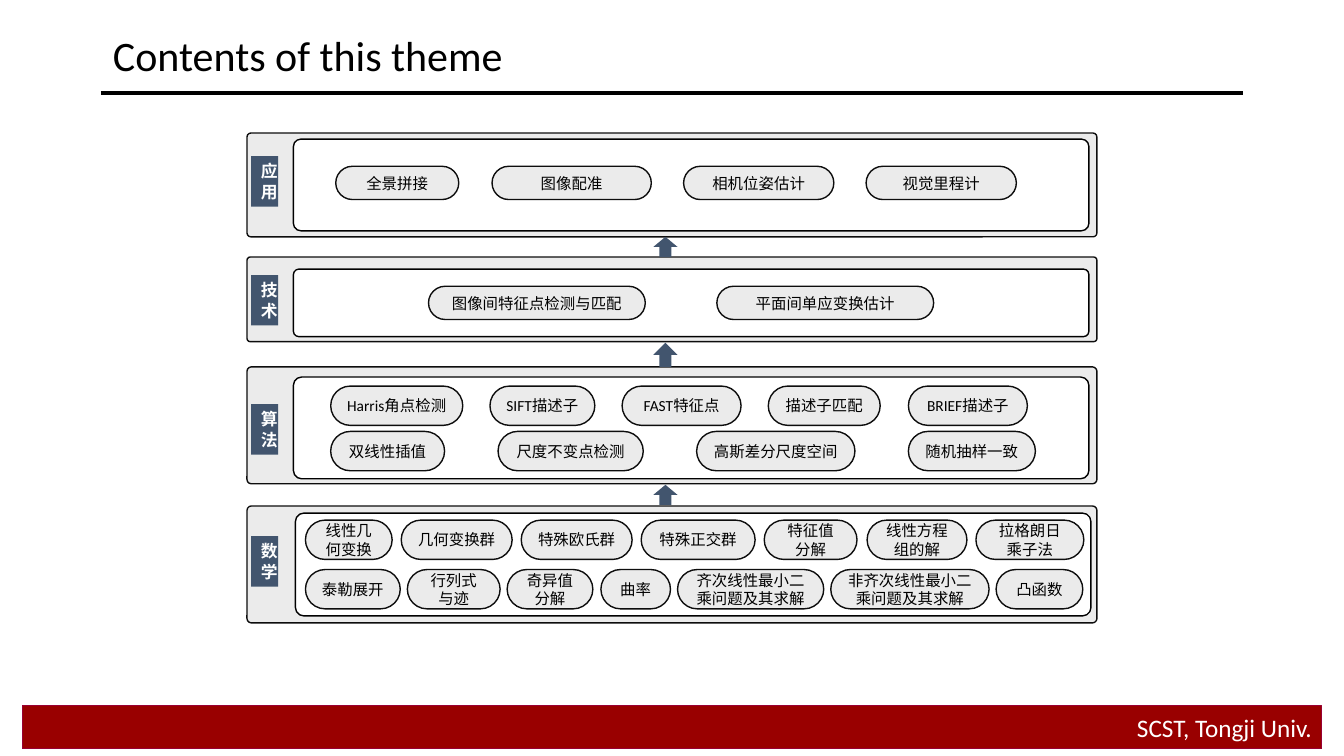
"""Build the slide that shows the four layers of topics in this theme."""
from dataclasses import dataclass

from lxml import etree
from pptx import Presentation
from pptx import util as u
from pptx.dml.color import RGBColor
from pptx.enum import shapes, text
from pptx.oxml.ns import qn

BLACK = RGBColor(0x00, 0x00, 0x00)
OUTLINE = RGBColor(0x0D, 0x0D, 0x0D)
WHITE = RGBColor(0xFF, 0xFF, 0xFF)
GREY = RGBColor(0xEB, 0xEB, 0xEB)
SLATE = RGBColor(0x42, 0x55, 0x6E)
RED = RGBColor(0x99, 0x00, 0x00)
CRIMSON = RGBColor(0x99, 0x00, 0x33)
LATIN_FONT = "Calibri"
CHINESE_FONT = "Noto Sans CJK SC"
ARROW_CENTER = 6.6
ARROW_WIDTH = 0.24


@dataclass
class Pill:
    label: str
    left: float
    width: float


@dataclass
class PillRow:
    top: float
    height: float
    pills: list[Pill]


@dataclass
class Layer:
    name: str
    top: float
    height: float
    name_top: float
    panel_left: float
    panel_top: float
    panel_height: float
    rows: list[PillRow]


@dataclass
class Arrow:
    top: float
    height: float


LAYERS = [
    Layer("应用", 1.32, 1.03, 1.55, 2.91, 1.38, 0.91, [
        PillRow(1.65, 0.33, [
            Pill("全景拼接", 3.33, 1.22), Pill("图像配准", 4.88, 1.58),
            Pill("相机位姿估计", 6.78, 1.49), Pill("视觉里程计", 8.59, 1.49)]),
    ]),
    Layer("技术", 2.55, 0.84, 2.73, 2.91, 2.67, 0.67, [
        PillRow(2.84, 0.33, [
            Pill("图像间特征点检测与匹配", 4.25, 2.15),
            Pill("平面间单应变换估计", 7.11, 2.15)]),
    ]),
    Layer("算法", 3.64, 1.16, 4.01, 2.91, 3.74, 1.01, [
        PillRow(3.83, 0.39, [
            Pill("Harris角点检测", 3.28, 1.31), Pill("SIFT描述子", 4.86, 1.04),
            Pill("FAST特征点", 6.17, 1.18), Pill("描述子匹配", 7.62, 1.11),
            Pill("BRIEF描述子", 9.01, 1.18)]),
        PillRow(4.28, 0.39, [
            Pill("双线性插值", 3.28, 1.13), Pill("尺度不变点检测", 4.94, 1.44),
            Pill("高斯差分尺度空间", 6.91, 1.57), Pill("随机抽样一致", 9.01, 1.26)]),
    ]),
    Layer("数学", 5.02, 1.16, 5.32, 2.93, 5.09, 1.02, [
        PillRow(5.16, 0.39, [
            Pill("线性几何变换", 3.03, 0.86), Pill("几何变换群", 3.98, 1.1),
            Pill("特殊欧氏群", 5.17, 1.1), Pill("特殊正交群", 6.36, 1.13),
            Pill("特征值分解", 7.58, 0.92), Pill("线性方程组的解", 8.6, 0.99),
            Pill("拉格朗日乘子法", 9.68, 1.07)]),
        PillRow(5.65, 0.39, [
            Pill("泰勒展开", 3.03, 0.94), Pill("行列式与迹", 4.04, 0.92),
            Pill("奇异值分解", 5.03, 0.85), Pill("曲率", 5.96, 0.69),
            Pill("齐次线性最小二乘问题及其求解", 6.72, 1.45),
            Pill("非齐次线性最小二乘问题及其求解", 8.24, 1.57),
            Pill("凸函数", 9.88, 0.86)]),
    ]),
]
ARROWS = [Arrow(2.35, 0.2), Arrow(3.4, 0.24), Arrow(4.81, 0.2)]


def add_box(slide, kind, left: float, top: float, width: float, height: float,
            fill: RGBColor, line: RGBColor | None = None,
            line_width: float = 1, corner: float | None = None):
    shape = slide.shapes.add_shape(
        kind, u.Inches(left), u.Inches(top), u.Inches(width), u.Inches(height))
    shape.shadow.inherit = False
    shape.fill.solid()
    shape.fill.fore_color.rgb = fill
    if line is None:
        shape.line.fill.background()
    else:
        shape.line.color.rgb = line
        shape.line.width = u.Pt(line_width)
    if corner is not None:
        shape.adjustments[0] = corner
    return shape


def write(shape, words: str, size: float, color: RGBColor, align,
          font_name: str = LATIN_FONT, bold: bool = False):
    shape.text_frame.text = words
    shape.text_frame.word_wrap = True
    shape.text_frame.vertical_anchor = text.MSO_ANCHOR.MIDDLE
    paragraph = shape.text_frame.paragraphs[0]
    paragraph.alignment = align
    paragraph.font.name = font_name
    paragraph.font.size = u.Pt(size)
    paragraph.font.bold = bold
    paragraph.font.color.rgb = color
    defaults = paragraph._p.pPr.find(qn("a:defRPr"))
    etree.SubElement(defaults, qn("a:ea"), typeface=CHINESE_FONT)
    return paragraph


def add_frame(slide) -> None:
    title = slide.shapes.title
    title.left, title.top = u.Inches(1.02), u.Inches(0.08)
    title.width, title.height = u.Inches(12), u.Inches(0.92)
    write(title, "Contents of this theme", 30, BLACK, text.PP_ALIGN.LEFT)
    rule = slide.shapes.add_connector(
        shapes.MSO_CONNECTOR.STRAIGHT,
        u.Inches(1), u.Inches(0.92), u.Inches(12.33), u.Inches(0.92))
    rule.line.color.rgb = BLACK
    rule.line.width = u.Pt(3)
    etree.SubElement(rule._element.spPr, qn("a:effectLst"))
    footer = add_box(slide, shapes.MSO_SHAPE.RECTANGLE,
                     0.22, 7, 12.89, 0.43, RED, CRIMSON, 0.75)
    write(footer, "SCST, Tongji Univ.", 18, WHITE, text.PP_ALIGN.RIGHT)


def add_layer(slide, layer: Layer) -> None:
    rounded = shapes.MSO_SHAPE.ROUNDED_RECTANGLE
    add_box(slide, rounded, 2.45, layer.top, 8.43, layer.height,
            GREY, OUTLINE, corner=0.038)
    name = add_box(slide, shapes.MSO_SHAPE.RECTANGLE,
                   2.49, layer.name_top, 0.27, 0.5, SLATE)
    paragraph = write(name, layer.name, 12, WHITE, text.PP_ALIGN.CENTER,
                      CHINESE_FONT, bold=True)
    paragraph.space_before = u.Pt(2.4)
    name.text_frame.vertical_anchor = text.MSO_ANCHOR.TOP
    name.text_frame.auto_size = text.MSO_AUTO_SIZE.SHAPE_TO_FIT_TEXT
    add_box(slide, rounded, layer.panel_left, layer.panel_top, 7.89,
            layer.panel_height, WHITE, BLACK, corner=0.082)
    for row in layer.rows:
        for pill in row.pills:
            shape = add_box(slide, rounded, pill.left, row.top, pill.width,
                            row.height, GREY, OUTLINE, corner=0.5)
            write(shape, pill.label, 11, BLACK, text.PP_ALIGN.CENTER)


def main() -> None:
    presentation = Presentation()
    presentation.slide_width = u.Inches(13.33)
    presentation.slide_height = u.Inches(7.5)
    slide = presentation.slides.add_slide(presentation.slide_layouts[5])
    add_frame(slide)
    for layer in LAYERS:
        add_layer(slide, layer)
    for arrow in ARROWS:
        add_box(slide, shapes.MSO_SHAPE.UP_ARROW, ARROW_CENTER - ARROW_WIDTH / 2,
                arrow.top, ARROW_WIDTH, arrow.height, SLATE)
    presentation.save("out.pptx")


if __name__ == "__main__":
    main()
